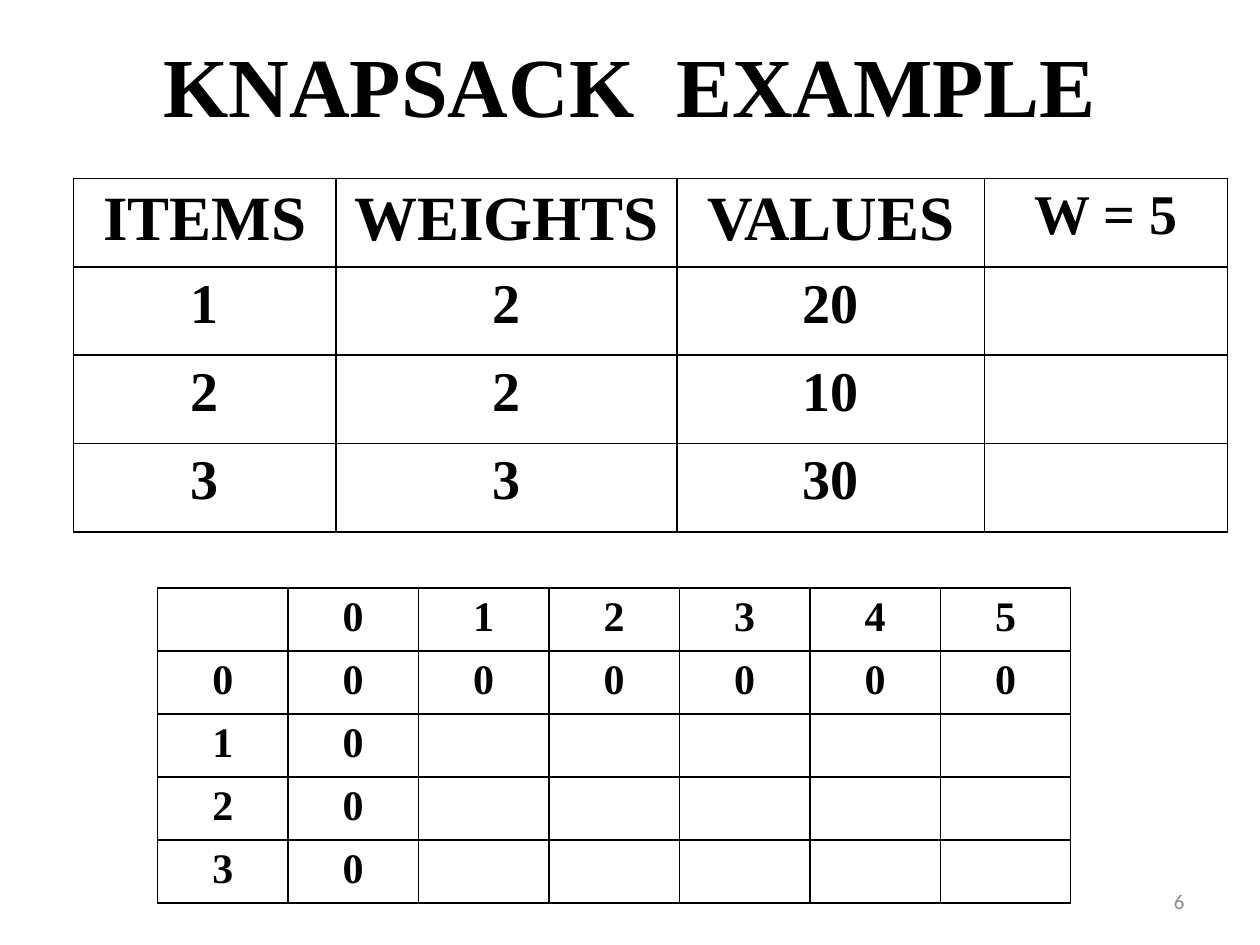
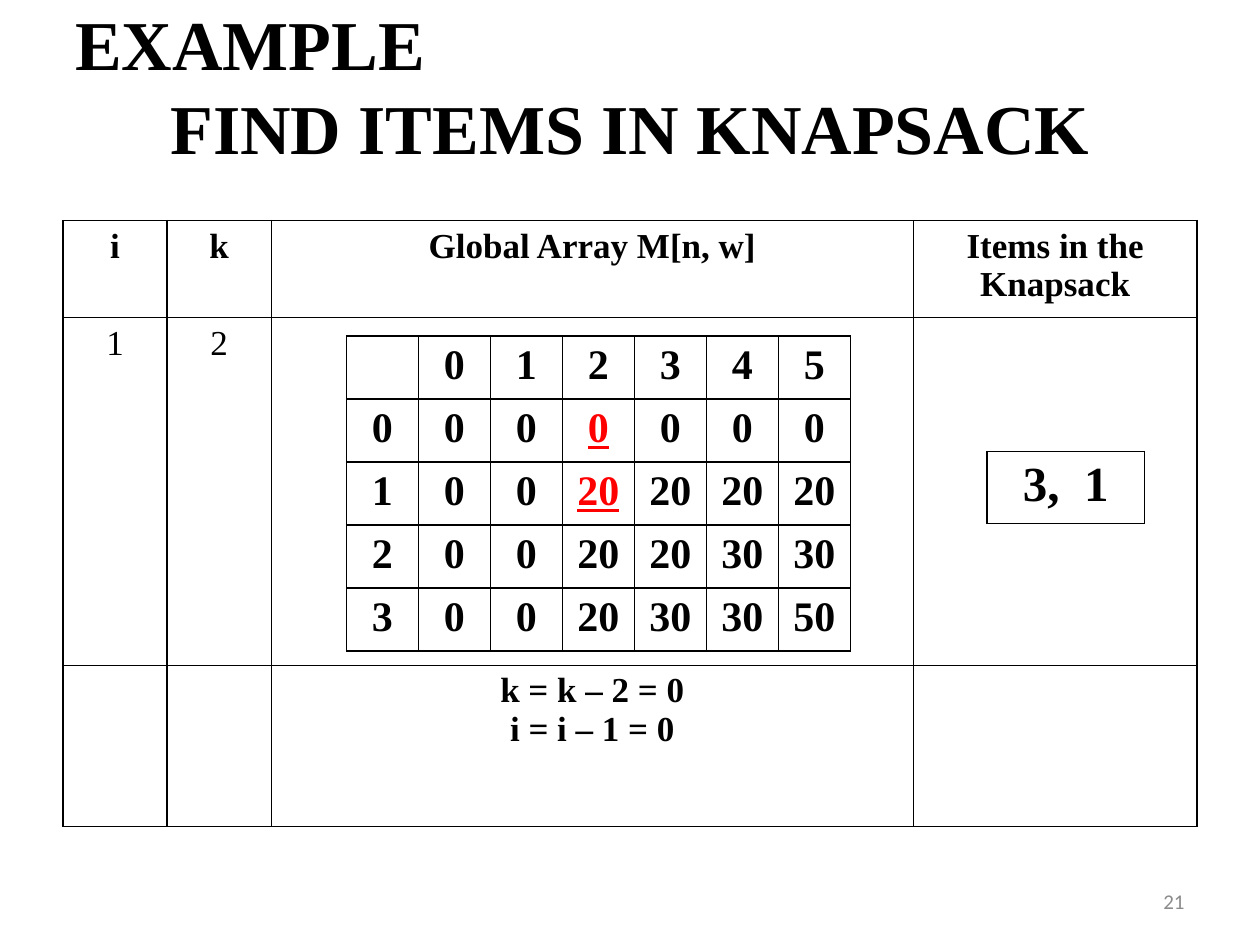
from lxml.etree import SubElement
from pptx import Presentation
from pptx.dml.color import RGBColor
from pptx.enum.text import MSO_ANCHOR as Anchor, PP_ALIGN as Align
from pptx.oxml.ns import qn
from pptx.util import Pt

COLORS = {"ink": "000000", "mark": "FF0000", "number": "8B8B8B"}
SERIF, SANS = "Times New Roman", "Calibri"
WEIGHTS = ["", *range(6)]


class Deck:
    def __init__(self):
        self.prs = Presentation()
        self.prs.slide_width, self.prs.slide_height = Pt(720), Pt(540)
        self.s = None

    def style(self, tf, size, color="ink", bold=True, font=SERIF, underline=False, align=Align.CENTER):
        for p in tf.paragraphs:
            p.alignment = align
            for r in p.runs:
                r.font.name, r.font.size = font, Pt(size)
                r.font.bold, r.font.underline = bold, underline
                r.font.color.rgb = RGBColor.from_string(COLORS[color])

    def text(self, left, top, width, height, text):
        tf = self.s.shapes.add_textbox(Pt(left), Pt(top), Pt(width), Pt(height)).text_frame
        tf.word_wrap = True
        tf.vertical_anchor = Anchor.MIDDLE
        tf.text = text
        return tf

    def slide(self, title, size, number):
        self.s = self.prs.slides.add_slide(self.prs.slide_layouts[6])
        tf = self.text(36, 6, 648, 78, title)
        tf.margin_top = Pt(10)
        self.style(tf, size)
        page = self.text(516, 500.5, 168, 28.75, str(number))
        self.style(page, 12, "number", False, SANS, align=Align.RIGHT)
        return tf

    def border(self, cell):
        tc_pr = cell._tc.get_or_add_tcPr()
        for side in ("lnL", "lnR", "lnT", "lnB"):
            ln = SubElement(tc_pr, qn(f"a:{side}"), w=str(Pt(1)))
            fill = SubElement(ln, qn("a:solidFill"))
            SubElement(fill, qn("a:srgbClr"), val=COLORS["ink"])

    def table(self, left, top, widths, heights, rows, size):
        frame = self.s.shapes.add_table(len(heights), len(widths), Pt(left), Pt(top),
                                        Pt(sum(widths)), Pt(sum(heights)))
        table = frame.table
        table.first_row = table.horz_banding = False
        for column, width in zip(table.columns, widths):
            column.width = Pt(width)
        for row, height, values in zip(table.rows, heights, rows):
            row.height = Pt(height)
            for cell, value in zip(row.cells, values):
                self.border(cell)
                cell.fill.background()
                if value != "":
                    cell.text_frame.text = str(value)
                    self.style(cell.text_frame, size)
        return table

    def grid(self, left, top, width, values):
        rows = [WEIGHTS] + [[item, *line] for item, line in enumerate(values)]
        return self.table(left, top, [width / 7] * 7, [36] * 5, rows, 24)


def example_slide(deck):
    deck.slide("KNAPSACK  EXAMPLE", 48, 6)
    items = deck.table(42, 102, [150, 195, 175.5, 139], [50.5] * 4, [
        ["ITEMS", "WEIGHTS", "VALUES", "W = 5"],
        [1, 2, 20, ""],
        [2, 2, 10, ""],
        [3, 3, 30, ""],
    ], 32)
    for col in range(3):
        deck.style(items.cell(0, col).text_frame, 36)
    deck.grid(90, 336, 522, [[0] * 6] + [[0] + [""] * 5] * 3)


def find_items_slide(deck):
    title = deck.slide("EXAMPLE\nFIND ITEMS IN KNAPSACK", 40, 21)
    title.paragraphs[0].alignment = Align.LEFT
    for p in title.paragraphs:
        p.line_spacing = Pt(48)

    best = deck.grid(198, 192, 288, [
        [0, 0, 0, 0, 0, 0],
        [0, 0, 20, 20, 20, 20],
        [0, 0, 20, 20, 30, 30],
        [0, 0, 20, 30, 30, 50],
    ])
    for row in (1, 2):
        deck.style(best.cell(row, 3).text_frame, 24, "mark", underline=True)

    steps = deck.table(36, 126, [59.5, 59.5, 367, 162], [55.5, 198.75, 92], [
        ["i", "k", "Global Array M[n, w]", "Items in the Knapsack"],
        [1, 2, "", ""],
        ["", "", "k = k – 2 = 0\ni = i – 1 = 0", ""],
    ], 20)
    for col in range(2):
        deck.style(steps.cell(1, col).text_frame, 20, bold=False)
    deck.table(564, 258, [90], [41], [["3,  1"]], 28)


def main():
    deck = Deck()
    example_slide(deck)
    find_items_slide(deck)
    deck.prs.save("out.pptx")


if __name__ == "__main__":
    main()
